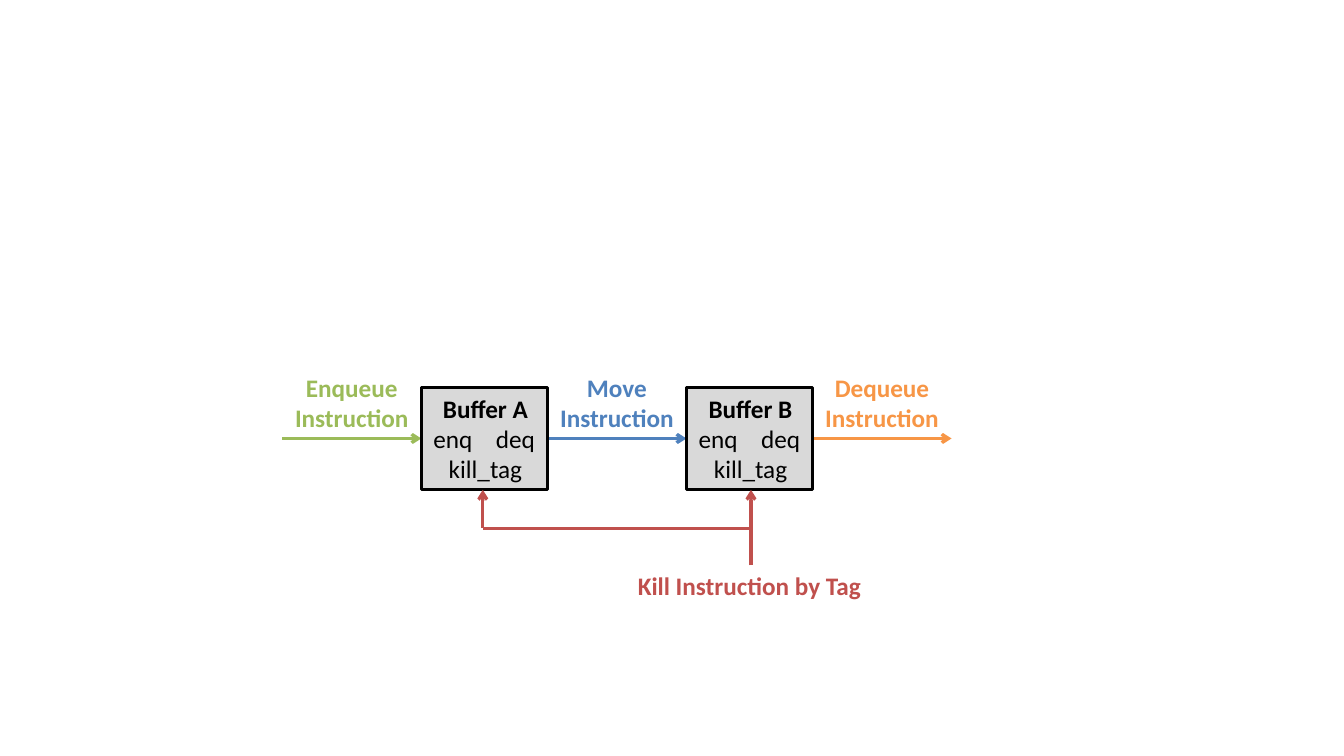
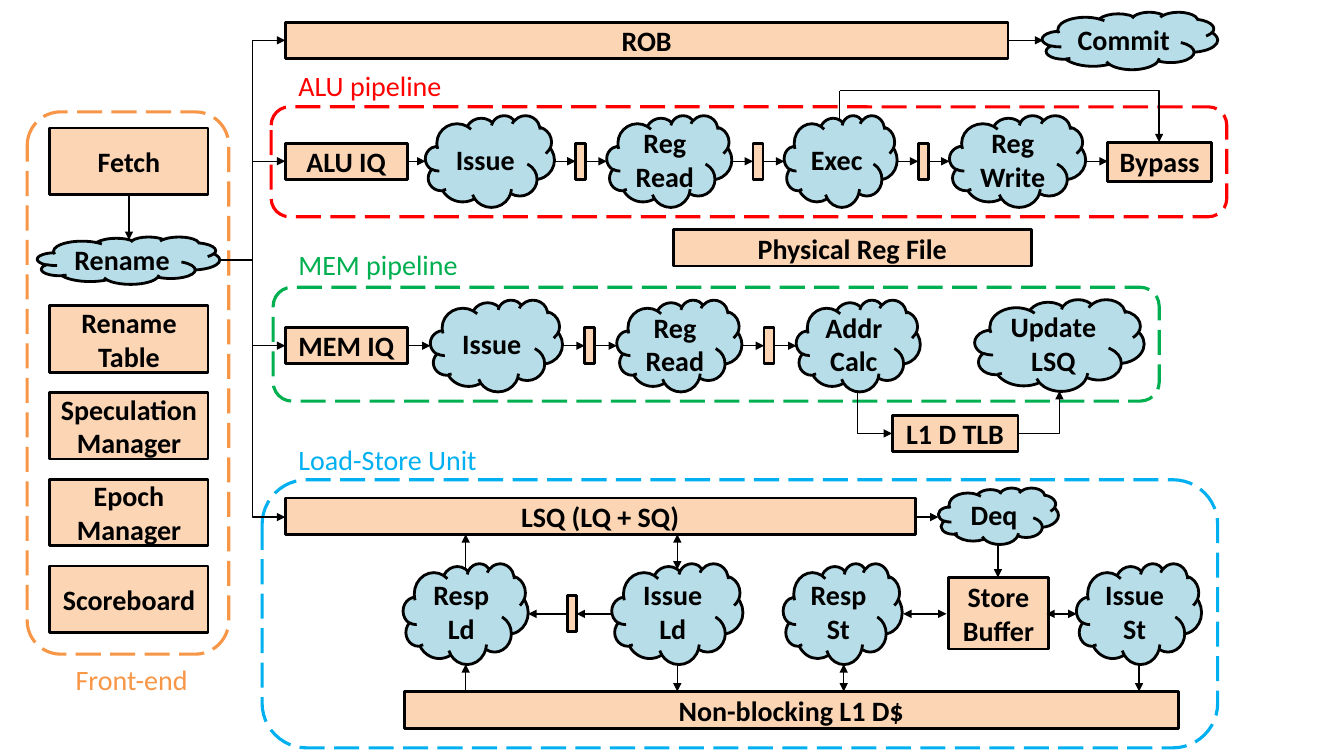
from dataclasses import dataclass

from pptx import Presentation
from pptx.dml.color import RGBColor
from pptx.enum.dml import MSO_LINE
from pptx.enum.shapes import MSO_CONNECTOR as Route, MSO_SHAPE as Preset
from pptx.enum.text import MSO_ANCHOR as Anchor, PP_ALIGN as Align
from pptx.oxml.ns import qn
from pptx.util import Emu, Inches, Pt
from lxml.etree import SubElement

CELL = Inches(0.1)  # side of one grid square
COLUMNS, ROWS = 133.33, 75


@dataclass(frozen=True)
class Theme:
    """Colours, type sizes and line widths of both slides."""
    font: str = "Calibri"
    ink: str = "000000"
    buffer: str = "D9D9D9"
    storage: str = "FCD5B5"
    logic: str = "B7DEE8"
    green: str = "9BBB59"
    blue: str = "4F81BD"
    orange: str = "F79646"
    brick: str = "C0504D"
    alu: str = "FF0000"
    mem: str = "00B050"
    load_store: str = "00B0F0"
    small: int = 18
    large: int = 20
    thin: float = 1
    outline: float = 2
    thick: float = 2.25


THEME = Theme()


def apply(target, values):
    """Set every attribute named in a dict of format values."""
    for name, value in values.items():
        setattr(target, name, value)


def set_line(line, color, width):
    """Give a line its colour and width."""
    line.color.rgb = RGBColor.from_string(color)
    line.width = Pt(width)


def cells(*values):
    """Turn grid cells into slide lengths."""
    return [Emu(round(value * CELL)) for value in values]


@dataclass
class Region:
    """A part of a slide whose contents are placed from its top left cell."""
    slide: object
    left: float = 0
    top: float = 0
    width: float = COLUMNS
    height: float = ROWS

    def place(self, x, y, width, height):
        """Return the slide position and size of a part of the region."""
        return cells(self.left + x, self.top + y, width, height)

    def set_text(self, shape, lines, color=THEME.ink, size=THEME.large, bold=True,
                 align=Align.CENTER):
        """Fill a shape with one paragraph per line."""
        frame = shape.text_frame
        frame.word_wrap = True
        frame.text = lines
        for paragraph in frame.paragraphs:
            paragraph.alignment = align
            for run in paragraph.runs:
                apply(run.font, {"name": THEME.font, "size": Pt(size), "bold": bold})
                run.font.color.rgb = RGBColor.from_string(color)
        return frame

    def node(self, preset, x, y, width, height, lines="", fill=THEME.storage,
             outline=THEME.outline, size=THEME.large):
        """Draw a filled block with centred text."""
        shape = self.slide.shapes.add_shape(preset, *self.place(x, y, width, height))
        shape.shadow.inherit = False
        shape.fill.solid()
        shape.fill.fore_color.rgb = RGBColor.from_string(fill)
        set_line(shape.line, THEME.ink, outline)
        if lines:
            self.set_text(shape, lines, size=size).vertical_anchor = Anchor.MIDDLE
        return shape

    def store(self, x, y, width, height, lines=""):
        """Draw a storage block."""
        return self.node(Preset.RECTANGLE, x, y, width, height, lines)

    def cloud(self, x, y, width, height, lines):
        """Draw a cloud of logic."""
        return self.node(Preset.CLOUD, x, y, width, height, lines, THEME.logic)

    def label(self, x, y, width, height, lines, color, **style):
        """Put text on the slide without a frame."""
        shape = self.slide.shapes.add_textbox(*self.place(x, y, width, height))
        frame = self.set_text(shape, lines, color, **style)
        apply(frame, {"margin_left": 0, "margin_right": 0})

    def border(self, color):
        """Draw the dashed border of the region."""
        shape = self.slide.shapes.add_shape(
            Preset.ROUNDED_RECTANGLE, *self.place(0, 0, self.width, self.height))
        shape.shadow.inherit = False
        shape.fill.background()
        set_line(shape.line, color, THEME.thick)
        shape.line.dash_style = MSO_LINE.LONG_DASH

    def caption(self, x, y, text, color):
        """Name the region outside its border."""
        self.label(x, y, 28, 4.4, text, color, bold=False, align=Align.LEFT)

    def link(self, start, end, color=THEME.ink, width=THEME.thin, route=Route.STRAIGHT,
             head=None, tail="triangle", corner=False):
        """Connect two points, with a single corner if asked for."""
        points = cells(self.left + start[0], self.top + start[1],
                       self.left + end[0], self.top + end[1])
        connector = self.slide.shapes.add_connector(route, *points)
        set_line(connector.line, color, width)
        properties = connector._element.spPr
        if corner:
            properties.find(qn("a:prstGeom")).set("prst", "bentConnector2")
        outline = properties.find(qn("a:ln"))
        for tag, kind in (("a:headEnd", head), ("a:tailEnd", tail)):
            if kind:
                SubElement(outline, qn(tag)).set("type", kind)
        SubElement(properties, qn("a:effectLst"))

    def lane(self, x, axis, gap, first_gap, queue, stages):
        """Chain a queue and cloud stages, with a latch between the clouds."""
        queue_width, latch, thickness, cloud_height = 12.1, 1, 3.6, 9.1
        self.store(x, axis - thickness / 2, queue_width, thickness, queue)
        x += queue_width
        for index, (width, lines) in enumerate(stages):
            if index:
                self.link((x, axis), (x + gap, axis))
                self.store(x + gap, axis - thickness / 2, latch, thickness)
                x += gap + latch
            step = gap if index else first_gap
            self.link((x, axis), (x + step, axis))
            self.cloud(x + step, axis - cloud_height / 2, width, cloud_height, lines)
            x += step + width
        return x


def draw_buffers(region):
    """Draw two tagged buffers, the flows through them and the kill signal."""
    flow, width, height = 13.8, 12.5, 10.2
    pitch, axis = flow + width, height / 2
    arrow = {"width": THEME.thick, "tail": "arrow"}
    flows = (("Enqueue", THEME.green), ("Move", THEME.blue), ("Dequeue", THEME.orange))
    for column, (action, color) in enumerate(flows):
        x = column * pitch
        region.link((x, axis), (x + flow, axis), color, **arrow)
        region.label(x, -2, flow, 7.1, f"{action}\nInstruction", color, size=THEME.small)
    for column, name in enumerate("AB"):
        shape = region.node(Preset.RECTANGLE, flow + column * pitch, 0, width, height,
                            f"Buffer {name}\nenq\tdeq\nkill_tag", THEME.buffer,
                            THEME.thick, THEME.small)
        frame = shape.text_frame
        apply(frame, {"margin_left": Inches(0.12), "margin_right": Inches(0.1)})
        for paragraph in frame.paragraphs[1:]:
            for run in paragraph.runs:
                run.font.bold = False
        ports = frame.paragraphs[1]
        ports.alignment = Align.LEFT
        tabs = SubElement(ports._p.get_or_add_pPr(), qn("a:tabLst"))
        SubElement(tabs, qn("a:tab"), pos=str(Inches(0.62)), algn="l")
    near, far, bus, source = 19.9, 46.5, 14, 17.7
    region.link((far, source), (far, height), THEME.brick, **arrow)
    region.link((near, bus), (near, height), THEME.brick, **arrow)
    region.link((near, bus), (far, bus), THEME.brick, THEME.thick, tail=None)
    region.label(34.2, source, 24.3, 4, "Kill Instruction by Tag", THEME.brick,
                 size=THEME.small)


def draw_front_end(region):
    """Draw fetch, rename and the bookkeeping tables."""
    x, width, height = 2.25, 15.7, 6.6
    region.border(THEME.orange)
    region.caption(4.8, 54.1, "Front-end", THEME.orange)
    region.store(x, 1.6, width, height, "Fetch")
    region.cloud(1, 12.4, 18.1, 4.7, "Rename")
    region.link((10.1, 8.3), (10.1, 12.7))
    tables = ("Rename\nTable", "Speculation\nManager", "Epoch\nManager", "Scoreboard")
    for row, name in enumerate(tables):
        region.store(x, 19.25 + 8.6 * row, width, height, name)


def draw_reorder(region):
    """Draw the reorder buffer and commit."""
    region.store(0, 1, 71.7, 3.6, "ROB")
    region.cloud(75.1, 0, 17.4, 5.7, "Commit")
    region.link((71.7, 2.8), (75.2, 2.8))


def draw_alu(region):
    """Draw the ALU pipeline with its bypass."""
    axis, loop, exec_x, bypass_x = 5.4, -1.6, 56.4, 88.1
    region.border(THEME.alu)
    region.caption(2.7, -4.3, "ALU pipeline", THEME.alu)
    stages = ((12.8, "Issue"), (12.4, "Reg\nRead"), (11.2, "Exec"), (13.5, "Reg\nWrite"))
    end = region.lane(1.4, axis, 2.1, 1.8, "ALU IQ", stages)
    region.link((end, axis), (83, axis))
    region.store(83, 3.5, 10.3, 3.9, "Bypass")
    region.link((exec_x, 1.4), (exec_x, loop), tail=None)
    region.link((exec_x, loop), (bypass_x, 3.5), route=Route.ELBOW, corner=True)


def draw_mem(region):
    """Draw the memory pipeline with its translation buffer."""
    tlb_axis, edge = 14.5, 10.3
    region.border(THEME.mem)
    region.caption(2.5, -4.4, "MEM pipeline", THEME.mem)
    stages = ((13.1, "Issue"), (12.4, "Reg\nRead"), (12.3, "Addr\nCalc"))
    region.lane(1.2, 5.8, 2.2, 2.3, "MEM IQ", stages)
    region.cloud(69.6, 1.2, 16.8, 9.1, "Update\nLSQ")
    region.store(61.4, 12.7, 12.5, 3.6, "L1 D TLB")
    bend = {"route": Route.ELBOW, "corner": True}
    region.link((61.4, tlb_axis), (58, edge), head="triangle", tail=None, **bend)
    region.link((73.9, tlb_axis), (78, edge), **bend)


def draw_load_store(region):
    """Draw the load-store unit between its queue and the cache."""
    axis, top, height = 13.3, 8.3, 10
    queue_bottom, cache_top = 5.4, 21
    region.border(THEME.load_store)
    region.caption(3.6, -4.2, "Load-Store Unit", THEME.load_store)
    region.store(2.3, 1.8, 62.5, 3.6, "LSQ (LQ + SQ)")
    region.store(14.1, cache_top, 76.8, 3.7, "Non-blocking L1 D$")
    region.cloud(67.1, 0.8, 11.9, 5.6, "Deq")
    region.store(68.1, 9.7, 9.9, 7.1, "Store\nBuffer")
    for x, width, lines in ((14, 12.4, "Resp\nLd"), (34.7, 13, "Issue\nLd"),
                            (51.7, 11.8, "Resp\nSt"), (80.8, 12.4, "Issue\nSt")):
        region.cloud(x, top, width, height, lines)
    region.store(30.3, axis - 1.8, 0.9, 3.6)
    both = {"head": "triangle"}
    bottom = top + height
    for start, end, ends in (
            ((64.8, 3.7), (67.1, 3.7), {}), ((73, 6.5), (73, 9.7), {}),
            ((34.7, axis), (31.2, axis), {}), ((30.3, axis), (26.4, axis), {}),
            ((63.6, axis), (67.9, axis), both), ((77.8, axis), (80.8, axis), both),
            ((41.2, queue_bottom), (41.2, 8.9), both),
            ((20.2, 8.9), (20.2, queue_bottom), {}),
            ((41.2, bottom), (41.2, cache_top), {}),
            ((20.2, cache_top), (20.2, bottom), {}),
            ((57.7, bottom), (57.7, cache_top), both),
            ((87, bottom), (87, cache_top), {})):
        region.link(start, end, **ends)


def draw_processor(slide):
    """Arrange the regions of the processor and dispatch from rename."""
    draw_front_end(Region(slide, 2.7, 11.1, 20, 53.8))
    draw_reorder(Region(slide, 28.3, 1.2, 92.5, 5.7))
    draw_alu(Region(slide, 26.9, 10.6, 94.8, 10.9))
    draw_mem(Region(slide, 27.1, 28.5, 87.9, 11.3))
    draw_load_store(Region(slide, 26, 47.6, 94.8, 26.6))
    whole = Region(slide)
    whole.store(66.8, 22.8, 35.5, 3.6, "Physical Reg File")
    for queue_axis in (4, 16, 34.3, 51.3):
        whole.link((21.8, 25.8), (28.3, queue_axis), route=Route.ELBOW)


def main():
    """Build both slides and save them."""
    presentation = Presentation()
    width, height = cells(COLUMNS, ROWS)
    apply(presentation, {"slide_width": width, "slide_height": height})
    blank = presentation.slide_layouts[6]
    draw_buffers(Region(presentation.slides.add_slide(blank), 28, 38.4, 66.4, 21.7))
    draw_processor(presentation.slides.add_slide(blank))
    presentation.save("out.pptx")


main()
